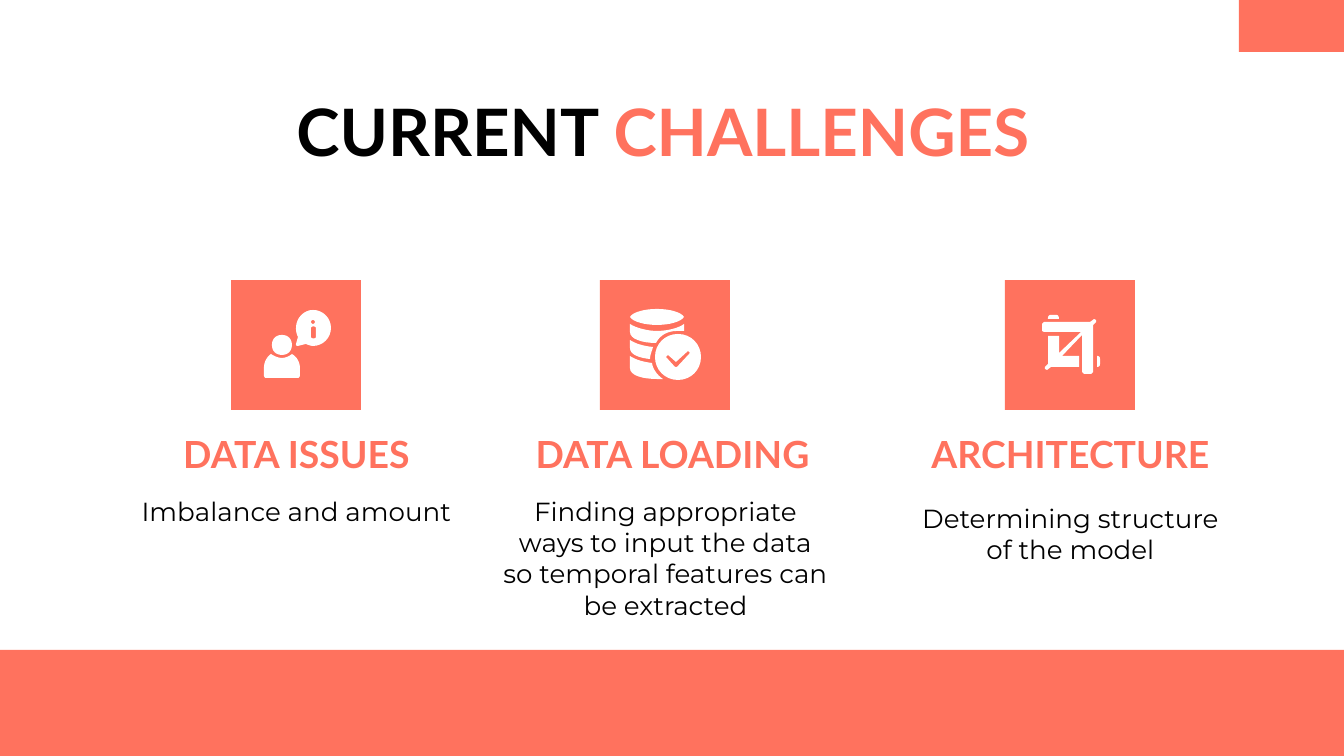
import dataclasses
import typing

import pptx
import pptx.dml.color
import pptx.enum.shapes
import pptx.enum.text
import pptx.util

PX = 914400 / 134.4
WIDTH, HEIGHT = 1344, 756
CORAL, BLACK, WHITE = "FF725E", "000000", "FFFFFF"
TILE_TOP, TILE_SIZE = 280, 130
HEADING_TOP, HEADING_HEIGHT = 422, 67
DESCRIPTION_WIDTH, DESCRIPTION_HEIGHT = 353, 83
INSET = 13
CURVE_STEPS = 8
TOP = pptx.enum.text.MSO_ANCHOR.TOP
MIDDLE = pptx.enum.text.MSO_ANCHOR.MIDDLE
BOTTOM = pptx.enum.text.MSO_ANCHOR.BOTTOM

Step = tuple[int, ...]
Contour = list[Step]
Part = list[Contour]


class Box(typing.NamedTuple):
    left: int
    top: int
    width: int
    height: int


@dataclasses.dataclass
class Style:
    font: str
    size: int
    bold: bool
    anchor: pptx.enum.text.MSO_ANCHOR


@dataclasses.dataclass
class Challenge:
    heading: str
    description: str
    center: int
    heading_center: int
    heading_width: int
    description_top: int
    icon: list[Part]


TITLE = Style("Lato", 35, True, MIDDLE)
HEADING = Style("Lato", 20, True, BOTTOM)
DESCRIPTION = Style("Montserrat", 14, False, TOP)


def px(length: float) -> int:
    return round(length * PX)


def rgb(value: str) -> pptx.dml.color.RGBColor:
    return pptx.dml.color.RGBColor.from_string(value)


def circle(x: int, y: int, r: int) -> Contour:
    k = round(r * 0.55)
    return [(x, y - r), (x + k, y - r, x + r, y - k, x + r, y),
            (x + r, y + k, x + k, y + r, x, y + r),
            (x - k, y + r, x - r, y + k, x - r, y),
            (x - r, y - k, x - k, y - r, x, y - r)]


def flatten(contour: Contour) -> list[tuple[int, int]]:
    points: list[tuple[float, float]] = []
    for step in contour:
        if len(step) == 2:
            points.append((step[0], step[1]))
            continue
        controls = [points[-1], step[0:2], step[2:4], step[4:6]]
        for i in range(1, CURVE_STEPS + 1):
            t = i / CURVE_STEPS
            weights = ((1 - t) ** 3, 3 * t * (1 - t) ** 2, 3 * t * t * (1 - t), t ** 3)
            points.append((sum(w * c[0] for w, c in zip(weights, controls)),
                           sum(w * c[1] for w, c in zip(weights, controls))))
    return [(px(x), px(y)) for x, y in points]


def paint(shape, color: str) -> None:
    shape.shadow.inherit = False
    shape.fill.solid()
    shape.fill.fore_color.rgb = rgb(color)
    shape.line.fill.background()


def draw_block(slide, box: Box) -> None:
    rectangle = pptx.enum.shapes.MSO_SHAPE.RECTANGLE
    paint(slide.shapes.add_shape(rectangle, *map(px, box)), CORAL)


def draw_text(slide, box: Box, style: Style, *pieces: tuple[str, str]) -> None:
    frame = slide.shapes.add_textbox(*map(px, box)).text_frame
    frame.word_wrap = True
    frame.vertical_anchor = style.anchor
    frame.margin_left = frame.margin_right = px(INSET)
    frame.margin_top = frame.margin_bottom = px(INSET)
    paragraph = frame.paragraphs[0]
    paragraph.alignment = pptx.enum.text.PP_ALIGN.CENTER
    paragraph.font.name = style.font
    paragraph.font.size = pptx.util.Pt(style.size)
    paragraph.font.bold = style.bold
    for words, color in pieces:
        run = paragraph.add_run()
        run.text = words
        run.font.color.rgb = rgb(color)


def draw_icon(slide, parts: list[Part]) -> None:
    group = slide.shapes.add_group_shape()
    for part in parts:
        outlines = [flatten(contour) for contour in part]
        builder = group.shapes.build_freeform(*outlines[0][0])
        builder.add_line_segments(outlines[0][1:])
        for hole in outlines[1:]:
            builder.move_to(*hole[0])
            builder.add_line_segments(hole[1:])
        paint(builder.convert_to_shape(), WHITE)


def draw_challenge(slide, item: Challenge) -> None:
    draw_block(slide, Box(item.center - TILE_SIZE // 2, TILE_TOP, TILE_SIZE, TILE_SIZE))
    draw_icon(slide, item.icon)
    draw_text(slide, Box(item.heading_center - item.heading_width // 2, HEADING_TOP,
                         item.heading_width, HEADING_HEIGHT),
              HEADING, (item.heading, CORAL))
    draw_text(slide, Box(item.center - DESCRIPTION_WIDTH // 2, item.description_top,
                         DESCRIPTION_WIDTH, DESCRIPTION_HEIGHT),
              DESCRIPTION, (item.description, BLACK))


SPEECH_BUBBLE = [(313, 310), (304, 310, 296, 318, 296, 328), (296, 332, 297, 335, 298, 337),
                 (296, 344), (296, 345, 296, 346, 298, 346), (306, 344),
                 (308, 345, 311, 346, 313, 346), (323, 346, 331, 338, 331, 328),
                 (331, 318, 323, 310, 313, 310)]
INFO_STEM = [(311, 328), (311, 326, 316, 326, 316, 328), (316, 337),
             (316, 339, 311, 339, 311, 337)]
TORSO = [(271, 354), (267, 357, 264, 362, 264, 368), (264, 375), (264, 377, 265, 378, 266, 378),
         (298, 378), (299, 378, 300, 377, 300, 375), (300, 368), (300, 362, 297, 357, 292, 354),
         (290, 356, 286, 358, 282, 358), (278, 358, 274, 356, 271, 354)]
PERSON = [[circle(282, 345, 10)], [SPEECH_BUBBLE, circle(313, 322, 2), INFO_STEM], [TORSO]]

DISK_LID = [(657, 309), (645, 309, 633, 312, 630, 317), (633, 322, 645, 325, 657, 325),
            (669, 325, 681, 322, 684, 317), (681, 312, 669, 309, 657, 309)]
UPPER_DISK = [(630, 324), (630, 332), (630, 339, 642, 343, 656, 343),
              (660, 335, 668, 331, 677, 331), (679, 331, 682, 331, 684, 331), (684, 324),
              (679, 328, 667, 331, 657, 331), (648, 331, 636, 328, 630, 324)]
MIDDLE_DISK = [(630, 340), (630, 348), (630, 355, 640, 358, 650, 359),
               (650, 355, 652, 351, 653, 347), (644, 346, 636, 344, 630, 340)]
LOWER_DISK = [(630, 356), (630, 368), (630, 376, 644, 379, 657, 379), (663, 379),
              (657, 375, 653, 369, 652, 363), (644, 362, 636, 360, 630, 356)]
CHECK = [(688, 351), (690, 353), (677, 367), (675, 367), (666, 357), (668, 355), (676, 362)]
DATABASE = [[DISK_LID], [UPPER_DISK], [circle(678, 357, 23), CHECK], [MIDDLE_DISK], [LOWER_DISK]]

TOP_KNOB = [(1051, 315), (1049, 315, 1048, 316, 1048, 319), (1059, 319),
            (1059, 316, 1058, 315, 1056, 315)]
CROP_FRAME = [(1094, 319), (1090, 322), (1044, 322), (1042, 324), (1042, 331), (1044, 332),
              (1081, 332), (1059, 353), (1059, 336), (1048, 336), (1048, 364), (1045, 367),
              (1045, 369), (1047, 370), (1051, 367), (1079, 367), (1079, 356), (1062, 356),
              (1082, 335), (1082, 372), (1084, 374), (1091, 374), (1093, 372), (1093, 325),
              (1096, 322), (1096, 320)]
SIDE_KNOB = [(1097, 356), (1097, 367), (1099, 367, 1100, 366, 1100, 364), (1100, 359),
             (1100, 357, 1099, 356, 1097, 356)]
CROP = [[TOP_KNOB], [CROP_FRAME], [SIDE_KNOB]]

CHALLENGES = [
    Challenge("DATA ISSUES", "Imbalance and amount", 296, 296, 407, 482, PERSON),
    Challenge("DATA LOADING", "Finding appropriate ways to input the data so temporal "
              "features can be extracted", 665, 672, 353, 482, DATABASE),
    Challenge("ARCHITECTURE", "Determining structure of the model",
              1070, 1070, 353, 489, CROP),
]


def main() -> None:
    deck = pptx.Presentation()
    deck.slide_width, deck.slide_height = px(WIDTH), px(HEIGHT)
    slide = deck.slides.add_slide(deck.slide_layouts[6])
    draw_block(slide, Box(0, 650, WIDTH, 106))
    draw_block(slide, Box(1239, 0, 105, 52))
    draw_text(slide, Box(87, 97, 1168, 66), TITLE, ("CURRENT ", BLACK), ("CHALLENGES ", CORAL))
    for item in CHALLENGES:
        draw_challenge(slide, item)
    deck.save("out.pptx")


if __name__ == "__main__":
    main()
